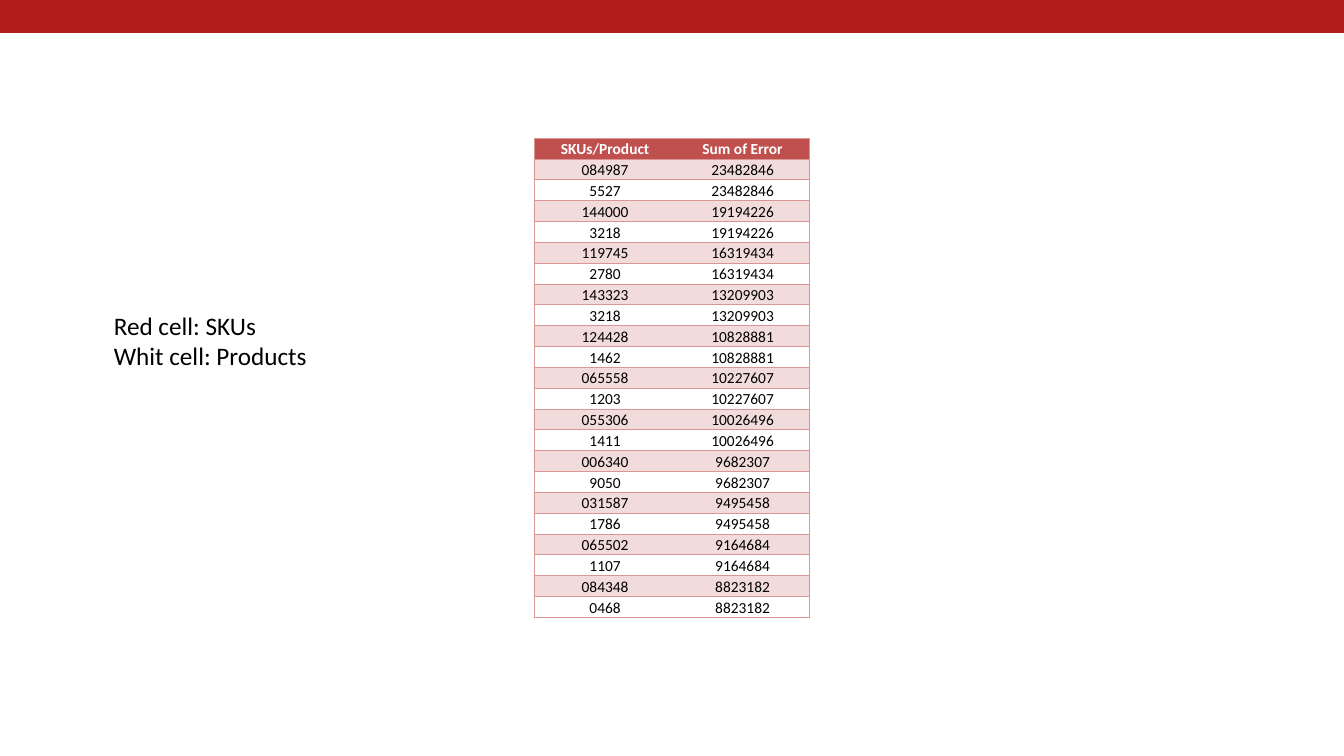
from lxml import etree
from pptx import Presentation
from pptx.dml.color import RGBColor
from pptx.enum.shapes import MSO_SHAPE
from pptx.enum.text import MSO_ANCHOR, PP_ALIGN
from pptx.oxml.ns import qn
from pptx.util import Cm, Pt

RECTANGLE = MSO_SHAPE.RECTANGLE
BOTTOM = MSO_ANCHOR.BOTTOM
CENTER = PP_ALIGN.CENTER

HEADINGS = ("SKUs/Product", "Sum of Error")
ERRORS = [
    ("084987", "5527", "23482846"),
    ("144000", "3218", "19194226"),
    ("119745", "2780", "16319434"),
    ("143323", "3218", "13209903"),
    ("124428", "1462", "10828881"),
    ("065558", "1203", "10227607"),
    ("055306", "1411", "10026496"),
    ("006340", "9050", "9682307"),
    ("031587", "1786", "9495458"),
    ("065502", "1107", "9164684"),
    ("084348", "0468", "8823182"),
]
LEGEND = ["Red cell: SKUs", "Whit cell: Products"]

BANNER_RED = "B31B1B"
HEADING_RED = "C0504D"
SKU_PINK = "F2DCDB"
BORDER_PINK = "DA9694"
WHITE = "FFFFFF"
BLACK = "000000"

SLIDE_WIDTH, SLIDE_HEIGHT = 33.87, 19.05
COLUMN_WIDTHS = (3.58, 3.35)
TABLE_HEIGHT = 12.09


def rgb(colour):
    return RGBColor.from_string(colour)


def add_run(paragraph, words, size, colour, bold=False):
    run = paragraph.add_run()
    run.text = words
    run.font.name = "Calibri"
    run.font.size = Pt(size)
    run.font.bold = bold
    run.font.color.rgb = rgb(colour)


def set_borders(cell, visible_sides):
    properties = cell._tc.get_or_add_tcPr()
    for side in "LRTB":
        line = etree.SubElement(properties, qn(f"a:ln{side}"), w=str(Pt(0.5)))
        if side in visible_sides:
            fill = etree.SubElement(line, qn("a:solidFill"))
            etree.SubElement(fill, qn("a:srgbClr"), val=BORDER_PINK)
        else:
            etree.SubElement(line, qn("a:noFill"))


def fill_cell(cell, words, visible_sides, background, colour, bold):
    cell.vertical_anchor = BOTTOM
    cell.margin_left = cell.margin_right = cell.margin_top = Cm(0.02)
    cell.margin_bottom = Cm(0)
    set_borders(cell, visible_sides)
    if background:
        cell.fill.solid()
        cell.fill.fore_color.rgb = rgb(background)
    else:
        cell.fill.background()
    paragraph = cell.text_frame.paragraphs[0]
    paragraph.alignment = CENTER
    add_run(paragraph, words, 11, colour, bold)


def add_banner(slide):
    banner = slide.shapes.add_shape(RECTANGLE, Cm(0), Cm(0), Cm(SLIDE_WIDTH), Cm(0.83))
    banner.shadow.inherit = False
    banner.fill.solid()
    banner.fill.fore_color.rgb = rgb(BANNER_RED)
    banner.line.fill.background()


def add_error_table(slide):
    rows = [(HEADINGS, HEADING_RED, WHITE, True)]
    for sku, product, error in ERRORS:
        rows.append(((sku, error), SKU_PINK, BLACK, False))
        rows.append(((product, error), None, BLACK, False))
    table = slide.shapes.add_table(
        len(rows), len(HEADINGS), Cm(13.46), Cm(3.48), Cm(sum(COLUMN_WIDTHS)), Cm(TABLE_HEIGHT)
    ).table
    table.first_row = False
    table.horz_banding = False
    for column, width in zip(table.columns, COLUMN_WIDTHS):
        column.width = Cm(width)
    for row_index, (entries, background, colour, bold) in enumerate(rows):
        table.rows[row_index].height = Cm(TABLE_HEIGHT / len(rows))
        for column_index, (words, sides) in enumerate(zip(entries, ("LTB", "RTB"))):
            cell = table.cell(row_index, column_index)
            fill_cell(cell, words, sides, background, colour, bold)


def add_legend(slide):
    frame = slide.shapes.add_textbox(Cm(2.62), Cm(7.7), Cm(6.4), Cm(2.57)).text_frame
    frame.word_wrap = True
    for index, words in enumerate(LEGEND):
        paragraph = frame.add_paragraph() if index else frame.paragraphs[0]
        add_run(paragraph, words, 18, BLACK)


def main():
    deck = Presentation()
    deck.slide_width, deck.slide_height = Cm(SLIDE_WIDTH), Cm(SLIDE_HEIGHT)
    slide = deck.slides.add_slide(deck.slide_layouts[6])
    add_banner(slide)
    add_error_table(slide)
    add_legend(slide)
    deck.save("out.pptx")


if __name__ == "__main__":
    main()
